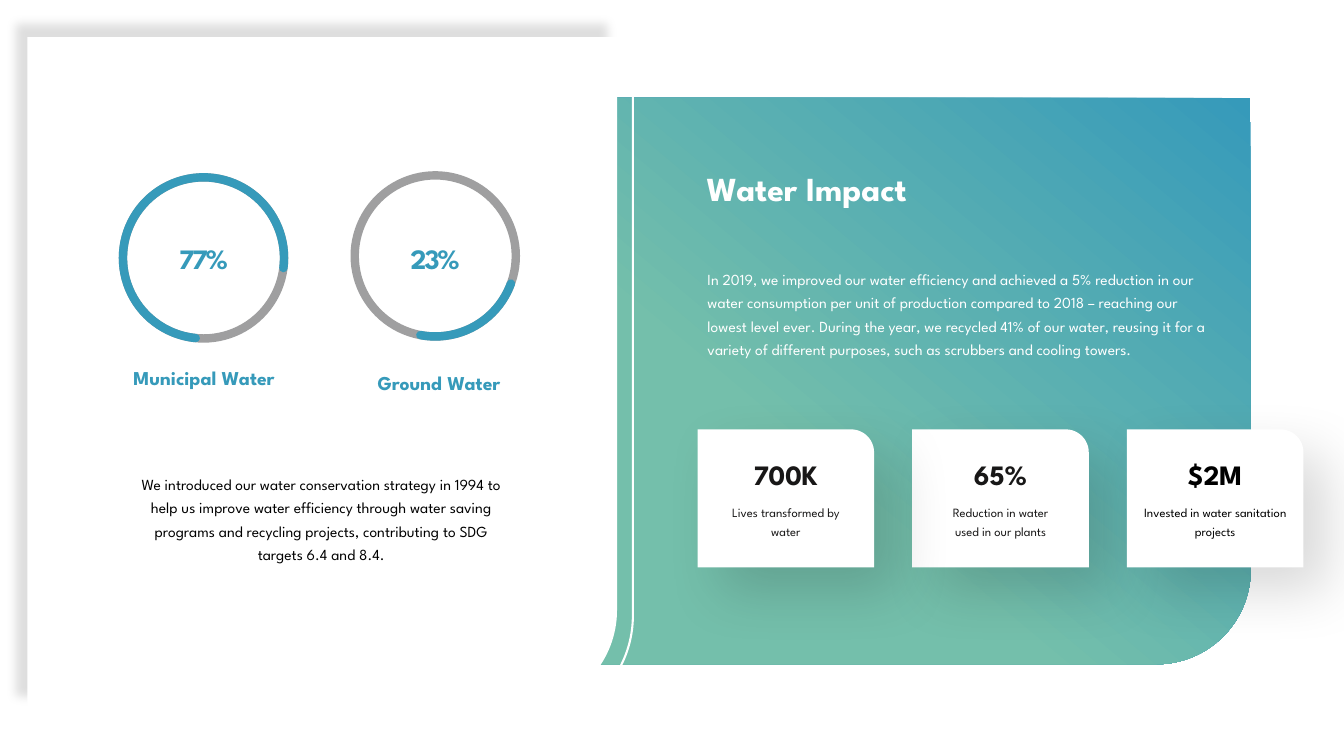
"""Build the Water Impact slide."""
from dataclasses import dataclass
from typing import Any, Optional

from lxml import etree
from pptx import Presentation
from pptx.dml.color import RGBColor
from pptx.enum.shapes import MSO_SHAPE
from pptx.enum.text import MSO_ANCHOR, MSO_AUTO_SIZE, PP_ALIGN
from pptx.oxml.ns import qn
from pptx.util import Cm, Pt

ROUND1, OVAL, ARC = MSO_SHAPE.ROUND_1_RECTANGLE, MSO_SHAPE.OVAL, MSO_SHAPE.ARC
TOP, MIDDLE = MSO_ANCHOR.TOP, MSO_ANCHOR.MIDDLE
LEFT, CENTER = PP_ALIGN.LEFT, PP_ALIGN.CENTER
GROW = MSO_AUTO_SIZE.SHAPE_TO_FIT_TEXT

FONT = "League Spartan"
COLORS = {"blue": "369ABA", "green": "74BFAB", "grey": "9F9FA0",
          "ink": "181717", "black": "000000", "white": "FFFFFF"}

CARD_LEFT, CARD_TOP, CARD_W, CARD_H, CARD_PITCH = 17.58, 10.82, 4.45, 3.48, 5.41
VALUE_W = 3.61
RING_D, RING_VALUE_W = 4.06, 3.07


@dataclass
class Box:
    """Position and size in centimetres."""
    left: float
    top: float
    width: float
    height: float

    def emu(self) -> list[int]:
        """Return the box as lengths."""
        return [Cm(v) for v in (self.left, self.top, self.width, self.height)]


@dataclass
class Style:
    """Formatting of a one-paragraph text."""
    size: float
    color: str
    bold: bool = False
    align: Any = CENTER
    spacing: Any = None
    inset: Optional[float] = None
    anchor: Any = TOP
    tracking: int = 0


@dataclass
class Shadow:
    """Outer shadow: opacity in percent, lengths in points, angle in degrees."""
    opacity: int
    blur: int
    dist: int
    angle: int


@dataclass
class Card:
    """Impact card in a column slot."""
    slot: int
    value: str
    caption: str
    caption_w: float
    color: str


@dataclass
class Ring:
    """Percentage ring with its label."""
    left: float
    top: float
    arc: tuple[float, float]
    value: str
    label: str
    label_box: Box
    label_spacing: Optional[float]


CARD_SHADOW = Shadow(15, 41, 24, 45)
PAGE_SHADOW = Shadow(13, 7, 12, 230)
CARDS = [
    Card(1, "65%", "Reduction in water used in our plants", 3.23, "ink"),
    Card(2, "$2M", "Invested in water sanitation projects", 3.94, "black"),
    Card(0, "700K", "Lives transformed by water", 3.12, "ink"),
]
RINGS = [
    Ring(3.1, 4.47, (57.31, 4.36), "77%", "Municipal Water", Box(2.34, 9.09, 5.61, 0.86), None),
    Ring(8.94, 4.42, (12.06, 60.4), "23%", "Ground Water", Box(8.26, 9.04, 5.61, 0.97), 1.3),
]
INTRO = ("In 2019, we improved our water efficiency and achieved a 5% reduction in our water "
         "consumption per unit of production compared to 2018 – reaching our lowest level ever. "
         "During the year, we recycled 41% of our water, reusing it for a variety of different "
         "purposes, such as scrubbers and cooling towers.")
STRATEGY = ("We introduced our water conservation strategy in 1994 to help us improve water "
            "efficiency through water saving programs and recycling projects, contributing to "
            "SDG targets 6.4 and 8.4.")


def rgb(name: str) -> RGBColor:
    """Return a named colour."""
    return RGBColor.from_string(COLORS[name])


def write(sp: Any, text: str, style: Style) -> None:
    """Write one formatted paragraph into a shape."""
    tf = sp.text_frame
    tf.word_wrap = True
    tf.auto_size = GROW
    tf.vertical_anchor = style.anchor
    if style.inset is not None:
        tf.margin_left = tf.margin_right = tf.margin_top = tf.margin_bottom = Cm(style.inset)
    p = tf.paragraphs[0]
    p.alignment = style.align
    if style.spacing is not None:
        p.line_spacing = style.spacing
    r = p.add_run()
    r.text = text
    r.font.name, r.font.size, r.font.bold = FONT, Pt(style.size), style.bold
    r.font.color.rgb = rgb(style.color)
    if style.tracking:
        r.font._element.set("spc", str(style.tracking))


def add_text(shapes: Any, box: Box, text: str, style: Style) -> None:
    """Add a text box."""
    write(shapes.add_textbox(*box.emu()), text, style)


def add_shape(shapes: Any, kind: Any, box: Box, fill: Optional[str] = None,
              line: Optional[str] = None, width: float = 0, flip: bool = False) -> Any:
    """Add a preset shape without the theme's effects."""
    sp = shapes.add_shape(kind, *box.emu())
    sp.shadow.inherit = False
    if fill:
        sp.fill.solid()
        sp.fill.fore_color.rgb = rgb(fill)
    else:
        sp.fill.background()
    if line:
        sp.line.color.rgb = rgb(line)
        sp.line.width = Pt(width)
    else:
        sp.line.fill.background()
    if flip:
        sp._element.spPr.find(qn("a:xfrm")).set("flipV", "1")
    return sp


def add_shadow(sp: Any, shadow: Shadow) -> None:
    """Give a shape a black outer shadow."""
    effects = sp._element.spPr.find(qn("a:effectLst"))
    outer = etree.SubElement(effects, qn("a:outerShdw"), blurRad=str(Pt(shadow.blur)),
                             dist=str(Pt(shadow.dist)), dir=str(shadow.angle * 60000),
                             algn="ctr", rotWithShape="0")
    color = etree.SubElement(outer, qn("a:srgbClr"), val=COLORS["black"])
    etree.SubElement(color, qn("a:alpha"), val=str(shadow.opacity * 1000))


def add_panel(shapes: Any) -> None:
    """Add the gradient panel."""
    sp = add_shape(shapes, ROUND1, Box(15.75, 0.97, 14.27, 17.27))
    sp.rotation = 90
    sp.fill.gradient()
    sp.fill.gradient_angle = 320
    for stop, position, name in zip(sp.fill.gradient_stops, (0, 0.65), ("blue", "green")):
        stop.position = position
        stop.color.rgb = rgb(name)


def add_card(shapes: Any, card: Card) -> None:
    """Add an impact card as a group."""
    group = shapes.add_group_shape().shapes
    left = CARD_LEFT + card.slot * CARD_PITCH
    middle = left + CARD_W / 2
    sp = add_shape(group, ROUND1, Box(left, CARD_TOP, CARD_W, CARD_H), "white")
    add_shadow(sp, CARD_SHADOW)
    add_text(group, Box(middle - VALUE_W / 2, 11.47, VALUE_W, 1.07), card.value,
             Style(20, card.color, True, spacing=0.9, inset=0.15))
    add_text(group, Box(middle - card.caption_w / 2, 12.45, card.caption_w, 1.22), card.caption,
             Style(9, card.color, spacing=Pt(14), inset=0.15))


def add_ring(shapes: Any, ring: Ring) -> None:
    """Add a percentage ring with its value and label."""
    group = shapes.add_group_shape().shapes
    box = Box(ring.left, ring.top, RING_D, RING_D)
    add_shape(group, OVAL, box, line="grey", width=6)
    sp = add_shape(group, ARC, box, line="blue", width=6)
    sp.adjustments[0], sp.adjustments[1] = ring.arc
    sp._element.spPr.find(qn("a:ln")).set("cap", "rnd")
    add_text(shapes, Box(ring.left + (RING_D - RING_VALUE_W) / 2, 5.94, RING_VALUE_W, 1.12),
             ring.value, Style(20, "blue", True, anchor=MIDDLE, tracking=-150))
    add_text(shapes, ring.label_box, ring.label,
             Style(14, "blue", True, spacing=ring.label_spacing))


def main() -> None:
    """Build and save the slide."""
    prs = Presentation()
    prs.slide_width, prs.slide_height = Cm(33.87), Cm(19.05)
    s = prs.slides.add_slide(prs.slide_layouts[5])
    shapes = s.shapes
    add_panel(shapes)
    add_text(shapes, Box(17.58, 6.55, 13.16, 3.23), INTRO,
             Style(11, "white", align=LEFT, spacing=Pt(16.8)))
    sp = add_shape(shapes, ROUND1, Box(1.35, 0.51, 14.6, 17.78), line="white", width=1.5, flip=True)
    sp.adjustments[0] = 0.19
    sp = add_shape(shapes, ROUND1, Box(0.69, 0.94, 14.86, 16.92), "white", flip=True)
    add_shadow(sp, PAGE_SHADOW)
    add_text(shapes, Box(3.3, 11.71, 9.6, 2.62), STRATEGY, Style(11, "black", spacing=Pt(16.8)))
    title = shapes.title
    title.left, title.top, title.width, title.height = Box(17.73, 4.14, 7.72, 1.17).emu()
    write(title, "Water Impact", Style(24, "white", True, LEFT, inset=0.08))
    shapes._spTree.append(title._element)
    for card in CARDS:
        add_card(shapes, card)
    for ring in RINGS:
        add_ring(shapes, ring)
    prs.save("out.pptx")


if __name__ == "__main__":
    main()
